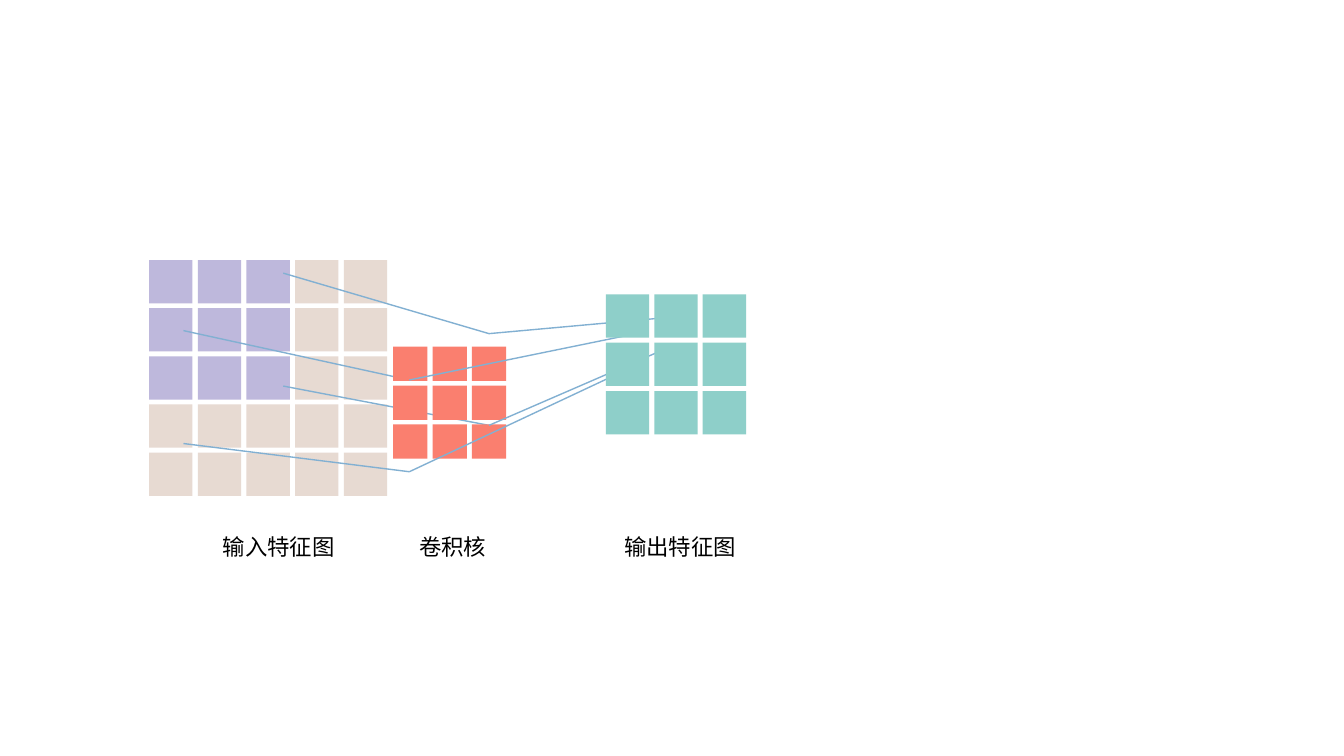
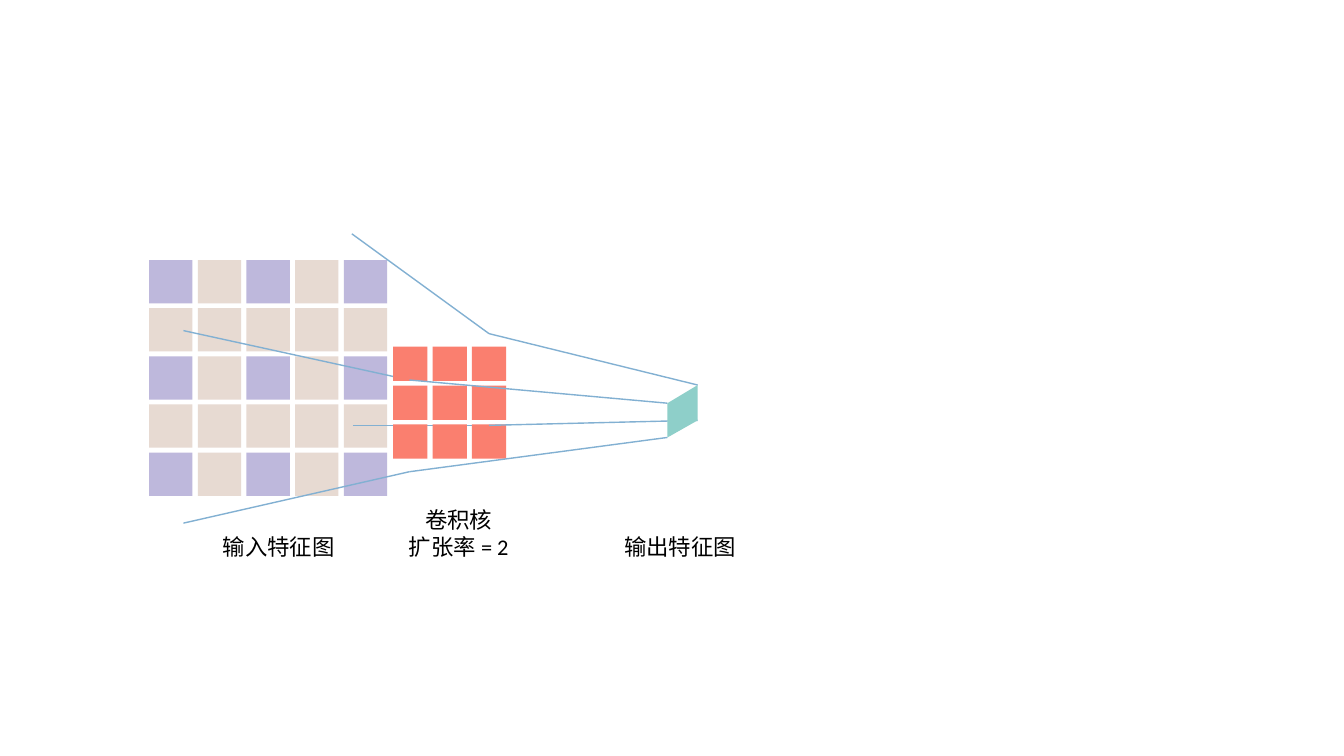
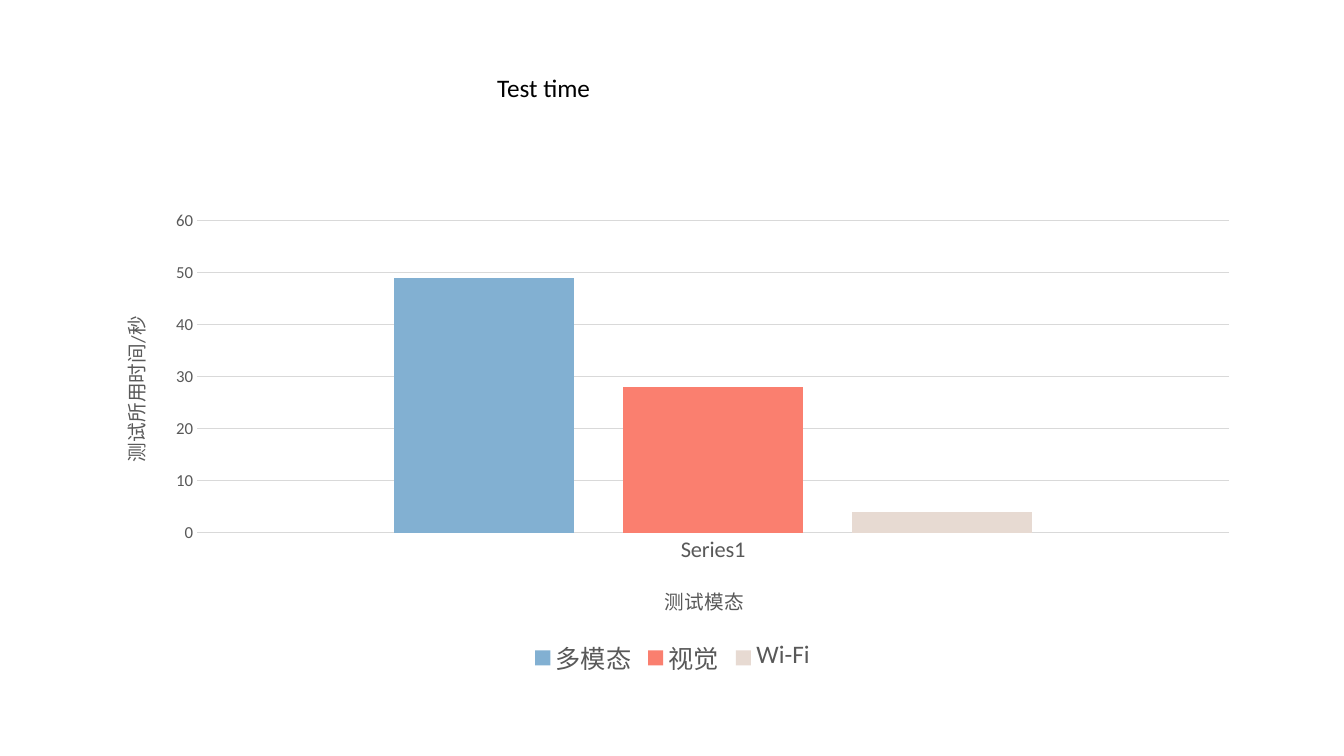
from lxml import etree
from pptx import Presentation
from pptx.chart.data import CategoryChartData
from pptx.dml.color import RGBColor
from pptx.enum.chart import XL_CHART_TYPE, XL_LEGEND_POSITION, XL_TICK_MARK
from pptx.enum.shapes import MSO_CONNECTOR, MSO_SHAPE
from pptx.enum.text import MSO_ANCHOR, PP_ALIGN
from pptx.oxml import parse_xml
from pptx.oxml.ns import nsdecls, qn
from pptx.util import Inches, Pt

COLUMN = XL_CHART_TYPE.COLUMN_CLUSTERED
BOTTOM = XL_LEGEND_POSITION.BOTTOM
NO_TICK = XL_TICK_MARK.NONE
STRAIGHT = MSO_CONNECTOR.STRAIGHT
RECTANGLE = MSO_SHAPE.RECTANGLE
TOP = MSO_ANCHOR.TOP
LEFT, CENTER = PP_ALIGN.LEFT, PP_ALIGN.CENTER

TITLE_ONLY, BLANK = 5, 6
FONT = "Calibri"
COLORS = {
    "active": "BEB8DC", "idle": "E7DAD2", "kernel": "FA7F6F",
    "output": "8ECFC9", "line": "82B0D2", "text": "000000",
    "axis": "595959", "grid": "D9D9D9",
}

# Grids: left, top, width, height, cells per side, cell size
INPUT_GRID = (1.48, 2.58, 2.36, 2.34, 5, 0.43)
KERNEL_GRID = (3.9, 3.44, 1.12, 1.11, 3, 0.34)
OUTPUT_GRID = (6.01, 2.92, 1.39, 1.39, 3, 0.43)

# Projection lines run from the input through these kernel corners
KERNEL_CORNERS = [(4.06, 3.77), (4.85, 3.31), (4.06, 4.68), (4.85, 4.22)]
INPUT_LABEL = ((1.9, 5.24, 1.73, 0.37), ["输入特征图"])
OUTPUT_LABEL = ((5.88, 5.24, 1.73, 0.37), ["输出特征图"])

CONVOLUTIONS = [
    {
        "active": {(row, column) for row in range(3) for column in range(3)},
        "starts": [(1.82, 3.28), (2.81, 2.71), (1.82, 4.4), (2.81, 3.83)],
        "ends": [(6.21, 3.33), (6.51, 3.16), (6.21, 3.67), (6.51, 3.5)],
        "face": None,
        "label": ((3.35, 5.24, 2.28, 0.37), ["卷积核"]),
    },
    {
        "active": {(row, column) for row in (0, 2, 4) for column in (0, 2, 4)},
        "starts": [(1.82, 3.28), (3.49, 2.32), (1.82, 5.19), (3.5, 4.22)],
        "ends": [(6.62, 4), (6.92, 3.82), (6.62, 4.34), (6.92, 4.17)],
        "face": [(6.62, 4), (6.92, 3.82), (6.92, 4.17), (6.62, 4.34)],
        "label": ((3.41, 4.97, 2.28, 0.64), ["卷积核", "扩张率 = 2"]),
    },
]

TEST_TITLE = ((4.83, 0.67, 1.83, 0.41), ["Test time"])
CHART_BOX = (0.92, 2, 11.5, 4.76)
CATEGORY = "Series1"
TEST_TIMES = [("多模态", 49, "line"), ("视觉", 28, "kernel"), ("Wi-Fi", 4, "idle")]
# Axis title text and its place as a share of the chart
CATEGORY_TITLE = ("测试模态", {"x": 0.49, "y": 0.79})
VALUE_TITLE = ("测试所用时间/秒", {"x": 0.02, "y": 0.23})
PLOT_PLACE = {"x": 0.09, "y": 0.04, "w": 0.89, "h": 0.65}


def inches(values):
    return [Inches(value) for value in values]


def rgb(name):
    return RGBColor.from_string(COLORS[name])


def style_font(font, size, color="text"):
    for name, value in {"name": FONT, "size": Pt(size), "bold": False}.items():
        setattr(font, name, value)
    font.color.rgb = rgb(color)


def paint(shape, color):
    shape.shadow.inherit = False
    shape.fill.solid()
    shape.fill.fore_color.rgb = rgb(color)
    shape.line.fill.background()


def write_text(box, place, lines, size, align):
    box.left, box.top, box.width, box.height = inches(place)
    frame = box.text_frame
    frame.word_wrap = True
    frame.vertical_anchor = TOP
    frame.margin_left = frame.margin_right = Inches(0.1)
    frame.margin_top = frame.margin_bottom = Inches(0.05)
    for index, line in enumerate(lines):
        para = frame.paragraphs[0] if index == 0 else frame.add_paragraph()
        para.alignment = align
        span = para.add_run()
        span.text = line
        style_font(span.font, size)


def add_grid(page, grid, color_at):
    left, top, width, height, count, cell = grid
    step_x = (width - cell) / (count - 1)
    step_y = (height - cell) / (count - 1)
    group = page.shapes.add_group_shape()
    for row in range(count):
        for column in range(count):
            place = (left + column * step_x, top + row * step_y, cell, cell)
            square = group.shapes.add_shape(RECTANGLE, *inches(place))
            paint(square, color_at(row, column))


def add_lines(page, starts, ends):
    for start, end in zip(starts, ends):
        line = page.shapes.add_connector(STRAIGHT, *inches(start + end))
        line.line.color.rgb = rgb("line")
        line.line.width = Pt(1)
        etree.SubElement(line._element.spPr, qn("a:effectLst"))


def add_face(page, points):
    corners = [tuple(inches(point)) for point in points]
    builder = page.shapes.build_freeform(*corners[0])
    builder.add_line_segments(corners[1:], close=True)
    paint(builder.convert_to_shape(), "output")


def add_convolution(deck, content):
    page = deck.slides.add_slide(deck.slide_layouts[BLANK])
    active = content["active"]
    add_grid(page, INPUT_GRID,
             lambda row, column: "active" if (row, column) in active else "idle")
    add_lines(page, content["starts"], KERNEL_CORNERS)
    add_grid(page, KERNEL_GRID, lambda row, column: "kernel")
    add_lines(page, KERNEL_CORNERS, content["ends"])
    if content["face"]:
        add_face(page, content["face"])
    else:
        add_grid(page, OUTPUT_GRID, lambda row, column: "output")
    for place, lines in (INPUT_LABEL, content["label"], OUTPUT_LABEL):
        box = page.shapes.add_textbox(*inches(place))
        write_text(box, place, lines, 16, CENTER)


def layout_xml(place, inner=False):
    target = '<c:layoutTarget val="inner"/>' if inner else ""
    modes = "".join(f'<c:{key}Mode val="edge"/>' for key in place if key in "xy")
    sizes = "".join(f'<c:{key} val="{value}"/>' for key, value in place.items())
    return parse_xml(f'<c:layout {nsdecls("c")}><c:manualLayout>{target}{modes}'
                     f'{sizes}</c:manualLayout></c:layout>')


def set_axis_title(axis, title):
    text, place = title
    frame = axis.axis_title.text_frame
    frame.text = text
    style_font(frame.paragraphs[0].runs[0].font, 14, "axis")
    element = axis.axis_title._element
    for old in element.findall(qn("c:layout")):
        element.remove(old)
    element.find(qn("c:tx")).addnext(layout_xml(place))


def add_test_chart(page):
    data = CategoryChartData()
    data.categories = [CATEGORY]
    for name, seconds, _ in TEST_TIMES:
        data.add_series(name, [seconds])
    chart = page.shapes.add_chart(COLUMN, *inches(CHART_BOX), data).chart
    chart.has_title = False
    style_font(chart.font, 10)

    # Columns
    plot = chart.plots[0]
    plot.vary_by_categories = False
    plot.gap_width, plot.overlap = 219, -27
    for series, (_, _, color) in zip(plot.series, TEST_TIMES):
        series.format.fill.solid()
        series.format.fill.fore_color.rgb = rgb(color)

    # Axes
    across, up = chart.category_axis, chart.value_axis
    for axis, size, title in ((across, 16, CATEGORY_TITLE), (up, 12, VALUE_TITLE)):
        axis.major_tick_mark = axis.minor_tick_mark = NO_TICK
        style_font(axis.tick_labels.font, size, "axis")
        set_axis_title(axis, title)
    up.minimum_scale, up.maximum_scale, up.major_unit = 0, 60, 10
    up.format.line.fill.background()
    for line in (across.format.line, up.major_gridlines.format.line):
        line.color.rgb = rgb("grid")
        line.width = Pt(0.75)

    # Legend and plot area
    chart.has_legend = True
    chart.legend.position = BOTTOM
    chart.legend.include_in_layout = False
    style_font(chart.legend.font, 18, "axis")
    area = chart._chartSpace.chart.plotArea
    for old in area.findall(qn("c:layout")):
        area.remove(old)
    area.insert(0, layout_xml(PLOT_PLACE, inner=True))


def main():
    deck = Presentation()
    deck.slide_width, deck.slide_height = Inches(13.33), Inches(7.5)
    for content in CONVOLUTIONS:
        add_convolution(deck, content)
    page = deck.slides.add_slide(deck.slide_layouts[TITLE_ONLY])
    place, lines = TEST_TITLE
    write_text(page.shapes.title, place, lines, 18, LEFT)
    add_test_chart(page)
    deck.save("out.pptx")


if __name__ == "__main__":
    main()
